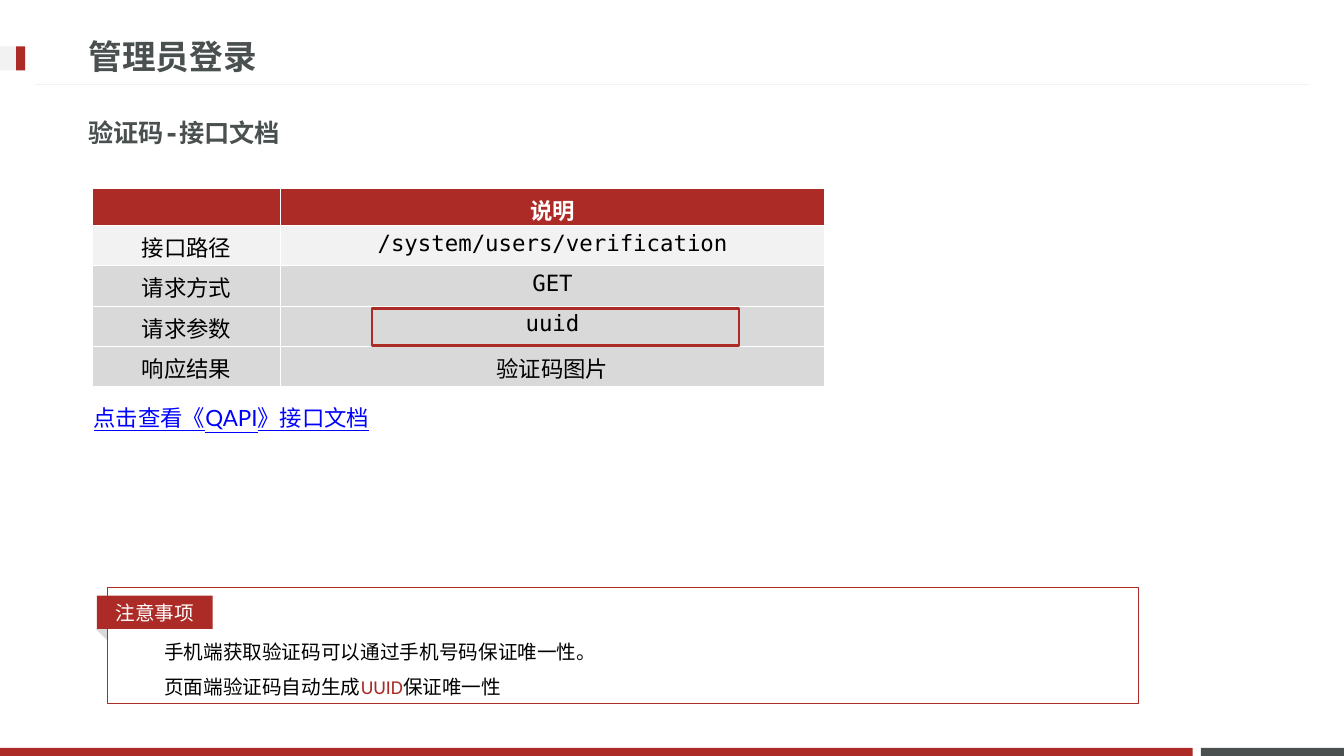
"""Build the captcha interface documentation slide."""
import pptx
import pptx.util
import pptx.dml.color
import pptx.enum.shapes
import pptx.enum.text
import pptx.oxml

Inches, Pt = pptx.util.Inches, pptx.util.Pt
RGBColor = pptx.dml.color.RGBColor
Shape = pptx.enum.shapes.MSO_SHAPE
Align = pptx.enum.text.PP_ALIGN
Anchor = pptx.enum.text.MSO_ANCHOR

RED = RGBColor(0xAD, 0x2B, 0x26)
SLATE = RGBColor(0x49, 0x50, 0x4F)
PALE = RGBColor(0xF2, 0xF2, 0xF2)
GREY = RGBColor(0xD9, 0xD9, 0xD9)
WHITE = RGBColor(0xFF, 0xFF, 0xFF)
BLACK = RGBColor(0, 0, 0)
BLUE = RGBColor(0, 0, 0xFF)
MONO, LATO, CALIBRI = "DejaVu Sans Mono", "Lato", "Calibri"

TITLE = "管理员登录"
SUBTITLE = "验证码-接口文档"
INTERFACE_ROWS = [
    ("", "说明"),
    ("接口路径", "/system/users/verification"),
    ("请求方式", "GET"),
    ("请求参数", "uuid"),
    ("响应结果", "验证码图片"),
]
ROW_FILLS = [RED, PALE, GREY, GREY, GREY]
ROW_HEIGHTS = [0.32, 0.4, 0.4, 0.4, 0.4]
COLUMN_WIDTHS = [1.86, 5.4]
LINK = "点击查看《QAPI》接口文档"
NOTE_LABEL = "注意事项"
NOTES = [
    [("手机端获取验证码可以通过手机号码保证唯一性。", BLACK)],
    [("页面端验证码自动生成", BLACK), ("UUID", RED), ("保证唯一性", BLACK)],
]

WIDTH, HEIGHT = 13.33, 7.5
BAR = 0.08
LEFT = 0.78

deck = pptx.Presentation()
deck.slide_width, deck.slide_height = Inches(WIDTH), Inches(HEIGHT)
page = deck.slides.add_slide(deck.slide_layouts[5])


def place(shape, left, top, width, height):
    shape.left, shape.top = Inches(left), Inches(top)
    shape.width, shape.height = Inches(width), Inches(height)


def style(para, size, face, color, bold=False, align=Align.LEFT):
    para.alignment = align
    para.font.size, para.font.name, para.font.bold = Pt(size), face, bold
    para.font.color.rgb = color


def add_block(kind, area, fill=None, line=None, weight=0.75):
    block = page.shapes.add_shape(kind, *map(Inches, area))
    block.shadow.inherit = False
    if fill is None:
        block.fill.background()
    else:
        block.fill.solid()
        block.fill.fore_color.rgb = fill
    if line is None:
        block.line.fill.background()
    else:
        block.line.color.rgb = line
        block.line.width = Pt(weight)
    return block


def add_text(area):
    box = page.shapes.add_textbox(*map(Inches, area))
    box.text_frame.word_wrap = True
    return box.text_frame


for area, fill in [
    ((11.91, HEIGHT - BAR, WIDTH - 11.91, BAR), SLATE),
    ((0, HEIGHT - BAR, 11.83, BAR), RED),
    ((0, 0.46, 0.25, 0.24), PALE),
    ((0.16, 0.46, 0.09, 0.24), RED),
]:
    add_block(Shape.RECTANGLE, area, fill)

rule = page.shapes.add_connector(
    pptx.enum.shapes.MSO_CONNECTOR.STRAIGHT,
    Inches(12.98), Inches(0.84), Inches(0.35), Inches(0.84))
rule.line.color.rgb, rule.line.width = PALE, Pt(0.75)
rule._element.spPr.append(pptx.oxml.parse_xml(
    '<a:effectLst xmlns:a="http://schemas.openxmlformats.org/drawingml/2006/main"/>'))

title = page.shapes.title
place(title, LEFT, 0.27, 9.59, 0.57)
subtitle = add_text((LEFT, 1.03, 11.76, 0.57))
for frame, words, size in [(title.text_frame, TITLE, 24), (subtitle, SUBTITLE, 18)]:
    frame.text = words
    frame.vertical_anchor = Anchor.MIDDLE
    style(frame.paragraphs[0], size, MONO, SLATE, bold=True)

table = page.shapes.add_table(
    len(INTERFACE_ROWS), len(COLUMN_WIDTHS), Inches(0.92), Inches(1.87),
    Inches(sum(COLUMN_WIDTHS)), Inches(sum(ROW_HEIGHTS))).table
for column, width in zip(table.columns, COLUMN_WIDTHS):
    column.width = Inches(width)
for index, (words, fill) in enumerate(zip(INTERFACE_ROWS, ROW_FILLS)):
    table.rows[index].height = Inches(ROW_HEIGHTS[index])
    header = index == 0
    for cell, word in zip(table.rows[index].cells, words):
        cell.text = word
        cell.fill.solid()
        cell.fill.fore_color.rgb = fill
        style(cell.text_frame.paragraphs[0], 16, MONO,
              WHITE if header else BLACK, header, Align.CENTER)

add_block(Shape.RECTANGLE, (3.69, 3.06, 3.64, 0.37), line=RED, weight=2)

link = add_text((0.83, 3.83, 7.43, 0.41))
link.text = LINK
style(link.paragraphs[0], 16, LATO, BLUE)
link.paragraphs[0].font.underline = True
link.paragraphs[0].line_spacing = 1.5

fold = add_block(Shape.ISOSCELES_TRIANGLE, (0.96, 6.22, 0.16, 0.09), GREY)
fold.rotation = 44.2
add_block(Shape.RECTANGLE, (1.07, 5.83, 10.22, 1.15), line=RED)
label = add_block(Shape.RECTANGLE, (0.96, 5.91, 1.15, 0.33), RED).text_frame
label.text = NOTE_LABEL
label.vertical_anchor = Anchor.MIDDLE
style(label.paragraphs[0], 14, LATO, WHITE, align=Align.CENTER)

notes = add_text((1.53, 6.18, 8.93, 0.77))
for index, spans in enumerate(NOTES):
    para = notes.add_paragraph() if index else notes.paragraphs[0]
    style(para, 14, CALIBRI, BLACK)
    para.line_spacing = 1.5
    for words, color in spans:
        span = para.add_run()
        span.text = words
        span.font.color.rgb = color

deck.save("out.pptx")
